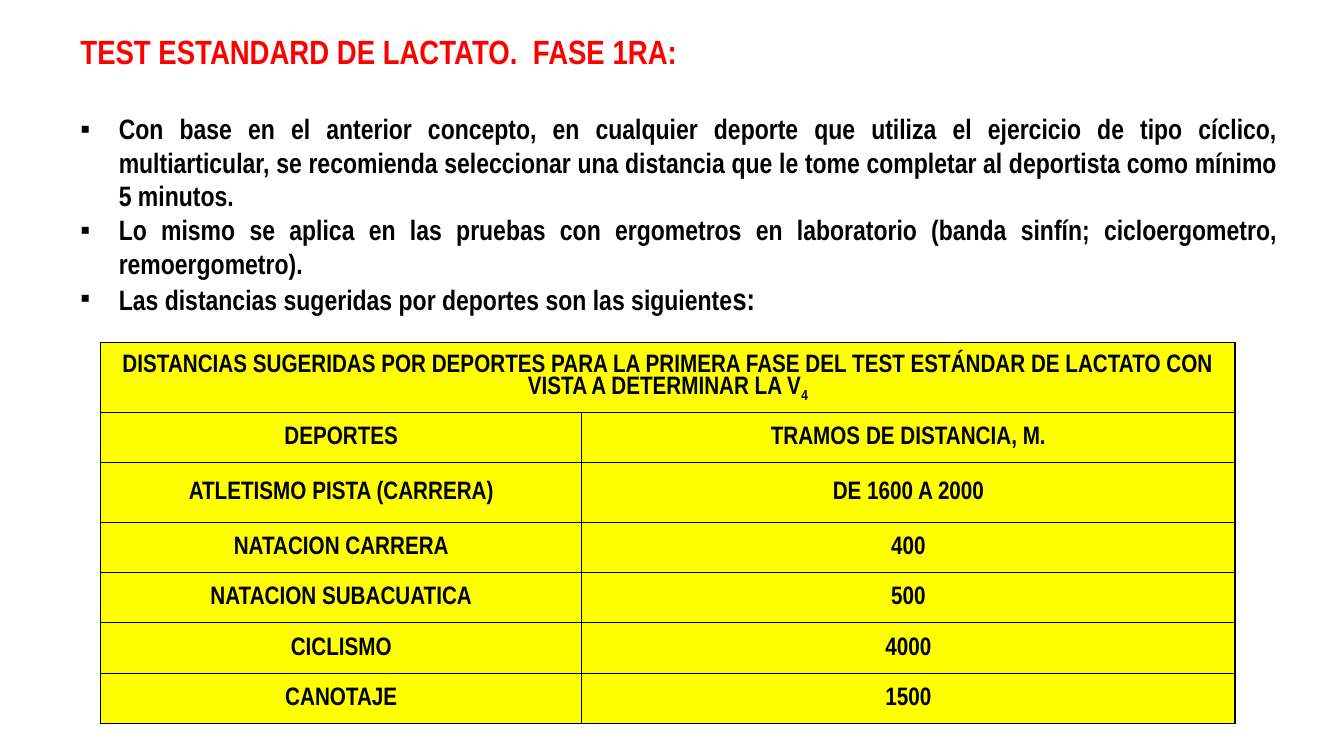
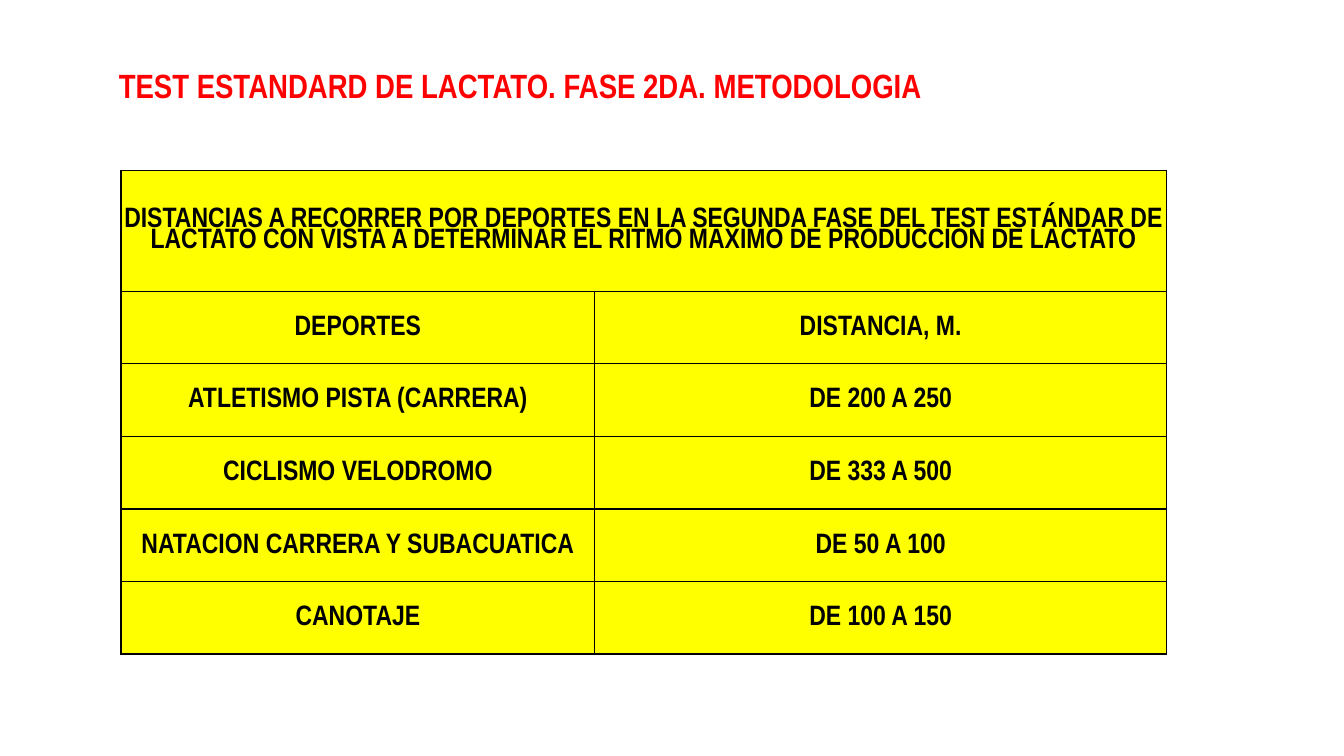
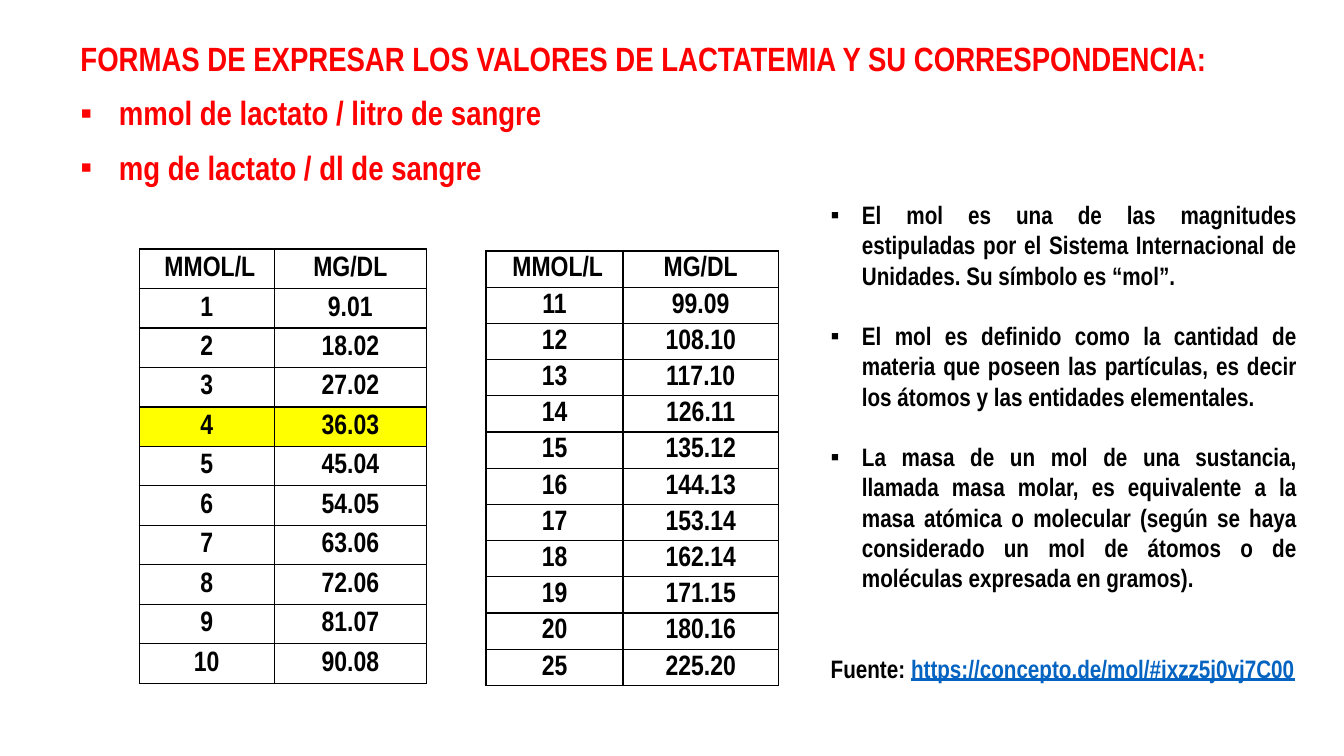
from lxml.etree import SubElement
from pptx import Presentation
from pptx.dml.color import RGBColor
from pptx.enum.text import MSO_ANCHOR, MSO_AUTO_SIZE, PP_ALIGN
from pptx.oxml.ns import qn
from pptx.util import Inches, Pt

BLACK = RGBColor(0x00, 0x00, 0x00)
RED = RGBColor(0xFF, 0x00, 0x00)
YELLOW = RGBColor(0xFF, 0xFF, 0x00)
LINK_BLUE = RGBColor(0x05, 0x63, 0xC1)
FONT = "Arial Narrow"
TITLE_SIZE = 24

PHASE_ONE_HEADING = (
    "DISTANCIAS SUGERIDAS POR DEPORTES PARA LA PRIMERA FASE DEL TEST ESTÁNDAR "
    "DE LACTATO CON VISTA A DETERMINAR LA V"
)
PHASE_ONE_ROWS = [
    ("DEPORTES", "TRAMOS DE DISTANCIA, M."),
    ("ATLETISMO PISTA (CARRERA)", "DE 1600 A 2000"),
    ("NATACION CARRERA", "400"),
    ("NATACION SUBACUATICA", "500"),
    ("CICLISMO", "4000"),
    ("CANOTAJE", "1500"),
]
PHASE_ONE_NOTES = [
    "Con base en el anterior concepto, en cualquier deporte que utiliza el ejercicio "
    "de tipo cíclico, multiarticular, se recomienda seleccionar una distancia que le "
    "tome completar al deportista como mínimo 5 minutos.",
    "Lo mismo se aplica en las pruebas con ergometros en laboratorio (banda sinfín; "
    "cicloergometro, remoergometro).",
    "Las distancias sugeridas por deportes son las siguiente",
]
PHASE_TWO_HEADING = (
    "DISTANCIAS A RECORRER POR DEPORTES EN LA SEGUNDA FASE DEL TEST ESTÁNDAR DE "
    "LACTATO CON VISTA A DETERMINAR EL RITMO MAXIMO DE PRODUCCION DE LACTATO"
)
PHASE_TWO_ROWS = [
    ("DEPORTES", "DISTANCIA, M."),
    ("ATLETISMO PISTA (CARRERA)", "DE 200 A 250"),
    ("CICLISMO VELODROMO", "DE 333 A 500"),
    ("NATACION CARRERA Y SUBACUATICA", "DE 50 A 100"),
    ("CANOTAJE", "DE 100 A 150"),
]
UNITS = (" MMOL/L", "MG/DL")
LOW_VALUES = [
    ("1", "9.01"), ("2", "18.02"), ("3", "27.02"), ("4", "36.03"), ("5", "45.04"),
    ("6", "54.05"), ("7", "63.06"), ("8", "72.06"), ("9", "81.07"), ("10", "90.08"),
]
HIGH_VALUES = [
    ("11", "99.09"), ("12", "108.10"), ("13", "117.10"), ("14", "126.11"),
    ("15", "135.12"), ("16", "144.13"), ("17", "153.14"), ("18", "162.14"),
    ("19", "171.15"), ("20", "180.16"), ("25", "225.20"),
]
MOL_NOTES = [
    "El mol es una de las magnitudes estipuladas por el Sistema Internacional de "
    "Unidades. Su símbolo es “mol”.",
    "El mol es definido como la cantidad de materia que poseen las partículas, es "
    "decir los átomos y las entidades elementales.",
    "La masa de un mol de una sustancia, llamada masa molar, es equivalente a la masa "
    "atómica o molecular (según se haya considerado un mol de átomos o "
    "de moléculas expresada en gramos).",
]


def add_span(para, text, size, color=BLACK):
    """Add one bold run and return it."""
    span = para.add_run()
    span.text = text
    span.font.name = FONT
    span.font.size = Pt(size)
    span.font.bold = True
    span.font.color.rgb = color
    return span


def add_box(page, left, top, width, height, wrap=True):
    """Add an empty text box and return its text frame."""
    frame = page.shapes.add_textbox(
        Inches(left), Inches(top), Inches(width), Inches(height)
    ).text_frame
    frame.word_wrap = wrap
    frame.auto_size = MSO_AUTO_SIZE.SHAPE_TO_FIT_TEXT
    return frame


def add_para(frame, text, size, color=BLACK, indent=0, before=0):
    """Add a justified paragraph, bulleted when it has an indent."""
    first = frame.paragraphs[0]
    para = frame.add_paragraph() if first.runs else first
    para.alignment = PP_ALIGN.JUSTIFY
    if indent:
        properties = para._p.get_or_add_pPr()
        properties.set("marL", str(Inches(indent)))
        properties.set("indent", str(-Inches(indent)))
        SubElement(properties, qn("a:buFont"), typeface="Arial")
        SubElement(properties, qn("a:buChar"), char="▪")
    if before:
        para.space_before = Pt(before)
    add_span(para, text, size, color)
    return para


def style_cell(cell, fill):
    """Give a cell thin insets, black borders and its fill."""
    cell.vertical_anchor = MSO_ANCHOR.MIDDLE
    cell.margin_left = cell.margin_right = cell.margin_top = Inches(0.01)
    cell.margin_bottom = 0
    properties = cell._tc.get_or_add_tcPr()
    for side in ("a:lnL", "a:lnR", "a:lnT", "a:lnB"):
        line = SubElement(properties, qn(side), w=str(Pt(1)))
        solid = SubElement(line, qn("a:solidFill"))
        SubElement(solid, qn("a:srgbClr"), val=str(BLACK))
    if fill is None:
        cell.fill.background()
    else:
        cell.fill.solid()
        cell.fill.fore_color.rgb = fill


def add_grid(page, left, top, columns, heights, rows, size, fills):
    """Add a bordered table of centred text and return it."""
    table = page.shapes.add_table(
        len(rows), len(columns), Inches(left), Inches(top),
        Inches(sum(columns)), Inches(sum(heights)),
    ).table
    table.first_row = table.horz_banding = False
    for column, width in zip(table.columns, columns):
        column.width = Inches(width)
    for row, height, texts, fill in zip(table.rows, heights, rows, fills):
        row.height = Inches(height)
        for cell, text in zip(row.cells, texts):
            style_cell(cell, fill)
            para = cell.text_frame.paragraphs[0]
            para.alignment = PP_ALIGN.CENTER
            if text:
                add_span(para, text, size)
    return table


def add_distances(page, left, top, columns, heights, heading, rows, size):
    """Add a yellow table under a merged heading and return the heading paragraph."""
    rows = [(heading, "")] + rows
    table = add_grid(page, left, top, columns, heights, rows, size, [YELLOW] * len(rows))
    table.cell(0, 0).merge(table.cell(0, 1))
    para = table.cell(0, 0).text_frame.paragraphs[0]
    para.line_spacing = 0.8
    return para


def add_values(page, left, top, columns, height, values, marked=None):
    """Add a table of lactate equivalences with one marked value."""
    rows = [UNITS] + values
    fills = [YELLOW if row[0] == marked else None for row in rows]
    add_grid(page, left, top, columns, [height / len(rows)] * len(rows), rows, 20, fills)


def build_phase_one(page):
    """Build the slide on the first phase of the test."""
    frame = add_box(page, 0.7, 0.26, 12.07, 2.96)
    title = add_para(frame, "TEST ESTANDARD DE LACTATO.  FASE 1RA:", TITLE_SIZE, RED)
    title.space_after = Pt(28.8)
    for note in PHASE_ONE_NOTES:
        para = add_para(frame, note, 20, indent=0.38)
    add_span(para, "s:", 22)
    heading = add_distances(
        page, 1, 3.4, (4.77, 6.48), [0.69, 0.5, 0.59] + [0.5] * 4,
        PHASE_ONE_HEADING, PHASE_ONE_ROWS, 18,
    )
    add_span(heading, "4", 18).font._element.set("baseline", "-25000")


def build_phase_two(page):
    """Build the slide on the second phase of the test."""
    add_distances(
        page, 1.2, 1.69, (4.7, 5.67), [1.2] + [0.72] * 5,
        PHASE_TWO_HEADING, PHASE_TWO_ROWS, 20,
    )
    frame = add_box(page, 1.08, 0.59, 8.26, 0.5, wrap=False)
    title = add_para(
        frame, "TEST ESTANDARD DE LACTATO. FASE 2DA. METODOLOGIA", TITLE_SIZE, RED
    )
    title.alignment = PP_ALIGN.LEFT


def build_units(page):
    """Build the slide on the units of lactate in blood."""
    frame = add_box(page, 0.7, 0.3, 11.5, 1.62)
    add_para(
        frame, "FORMAS DE EXPRESAR LOS VALORES DE LACTATEMIA Y SU CORRESPONDENCIA:",
        TITLE_SIZE, RED,
    )
    for unit in ("mmol de lactato / litro de sangre", "mg de lactato / dl de sangre"):
        add_para(frame, unit, TITLE_SIZE, RED, indent=0.38)
    for para in frame.paragraphs:
        para.line_spacing = 1.07
        para.space_after = Pt(8)
    add_values(page, 1.38, 2.47, (1.34, 1.51), 4.31, LOW_VALUES, marked="4")
    add_values(page, 4.82, 2.49, (1.36, 1.54), 4.31, HIGH_VALUES)
    notes = add_box(page, 8.14, 1.93, 4.82, 4.95)
    for index, note in enumerate(MOL_NOTES):
        add_para(notes, note, 18, indent=0.31, before=21.6 if index else 0)
    source = add_para(notes, "Fuente: ", 18, before=43.2)
    link = add_span(source, "https://concepto.de/mol/#ixzz5j0vj7C00", 18, LINK_BLUE)
    link.font.underline = True


def main():
    """Build the deck and save it."""
    deck = Presentation()
    deck.slide_width = Inches(13.33)
    deck.slide_height = Inches(7.5)
    for build in (build_phase_one, build_phase_two, build_units):
        build(deck.slides.add_slide(deck.slide_layouts[6]))
    deck.save("out.pptx")


if __name__ == "__main__":
    main()
